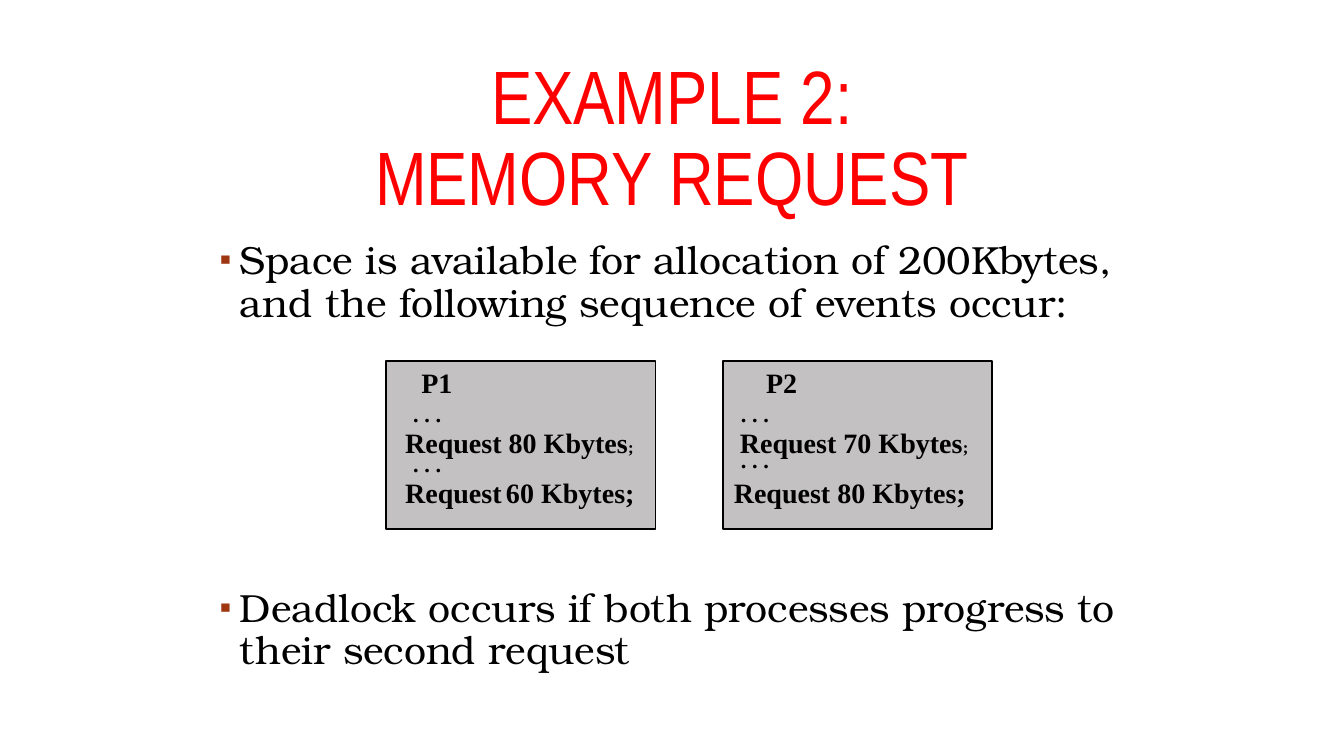
from dataclasses import dataclass

from lxml.etree import SubElement
from pptx import Presentation
from pptx.dml.color import RGBColor
from pptx.enum.shapes import MSO_SHAPE
from pptx.enum.text import MSO_ANCHOR, PP_ALIGN
from pptx.oxml.ns import qn
from pptx.slide import Slide
from pptx.text.text import TextFrame, _Paragraph
from pptx.util import Inches, Pt

TITLE_FONT = "Arial Narrow"
BODY_FONT = "TeX Gyre Bonum"
CODE_FONT = "Times New Roman"
BLACK = "000000"
RED = "FF0000"
GRAY = "C3C1C1"
BULLET_COLOR = "9E3611"


@dataclass(frozen=True)
class Span:
    text: str
    size: float


@dataclass(frozen=True)
class Line:
    left: float
    top: float
    width: float
    height: float
    spans: tuple[Span, ...]


@dataclass(frozen=True)
class Process:
    left: float
    lines: tuple[Line, ...]


@dataclass(frozen=True)
class Statement:
    top: float
    text: str


def label(left: float, name: str) -> Line:
    return Line(left, 3.58, 0.51, 0.44, (Span(name, 20),))


def dots(left: float, top: float) -> Line:
    return Line(left, top, 0.48, 0.37, (Span(". . .", 16),))


def request(left: float, top: float, *spans: Span) -> Line:
    return Line(left, top, 2.6, 0.44, spans)


PROCESSES = (
    Process(3.83, (
        label(4.08, "P1"),
        dots(4, 3.92),
        dots(4, 4.42),
        request(3.92, 4.17, Span("Request 80 Kbytes", 20), Span(";", 12)),
        request(3.92, 4.67, Span("Request", 20), Span(" ", 12), Span("60 Kbytes;", 20)),
    )),
    Process(7.17, (
        label(7.5, "P2"),
        dots(7.25, 3.92),
        dots(7.25, 4.38),
        request(7.24, 4.17, Span("Request 70 Kbytes", 20), Span(";", 12)),
        request(7.18, 4.67, Span("Request 80 Kbytes;", 20)),
    )),
)

STATEMENTS = (
    Statement(2.34, "Space is available for allocation of 200Kbytes, and the following sequence of events occur:"),
    Statement(5.79, "Deadlock occurs if both processes progress to their second request"),
)


def color(value: str) -> RGBColor:
    return RGBColor.from_string(value)


def add_text_frame(page: Slide, left: float, top: float, width: float, height: float, wrap: bool) -> TextFrame:
    box = page.shapes.add_textbox(Inches(left), Inches(top), Inches(width), Inches(height))
    box.text_frame.word_wrap = wrap
    return box.text_frame


def add_span(para: _Paragraph, span: Span, font: str, fill: str, bold: bool = False) -> None:
    run = para.add_run()
    run.text = span.text
    run.font.name = font
    run.font.size = Pt(span.size)
    run.font.bold = bold
    run.font.color.rgb = color(fill)


def add_title(page: Slide) -> None:
    frame = add_text_frame(page, 2, 0.67, 9.33, 1.45, True)
    frame.vertical_anchor = MSO_ANCHOR.MIDDLE
    para = frame.paragraphs[0]
    para.alignment = PP_ALIGN.CENTER
    para.line_spacing = 0.9
    add_span(para, Span("EXAMPLE 2:", 54), TITLE_FONT, RED)
    para.add_line_break()
    add_span(para, Span("MEMORY REQUEST", 54), TITLE_FONT, RED)


def add_bullet(para: _Paragraph) -> None:
    properties = para._p.get_or_add_pPr()
    properties.set("marL", str(Inches(0.2)))
    properties.set("indent", str(Inches(-0.2)))
    bullet_color = SubElement(properties, qn("a:buClr"))
    SubElement(bullet_color, qn("a:srgbClr"), val=BULLET_COLOR)
    SubElement(properties, qn("a:buSzPct"), val="85000")
    SubElement(properties, qn("a:buFont"), typeface=CODE_FONT)
    SubElement(properties, qn("a:buChar"), char="▪")


def add_statement(page: Slide, statement: Statement) -> None:
    frame = add_text_frame(page, 2.08, statement.top, 9.25, 1, True)
    para = frame.paragraphs[0]
    para.line_spacing = 0.9
    add_bullet(para)
    add_span(para, Span(statement.text, 28), BODY_FONT, BLACK)


def add_process(page: Slide, process: Process) -> None:
    box = page.shapes.add_shape(
        MSO_SHAPE.RECTANGLE, Inches(process.left), Inches(3.58), Inches(2.67), Inches(1.67)
    )
    box.shadow.inherit = False
    box.fill.solid()
    box.fill.fore_color.rgb = color(GRAY)
    box.line.color.rgb = color(BLACK)
    box.line.width = Pt(1)
    for line in process.lines:
        frame = add_text_frame(page, line.left, line.top, line.width, line.height, False)
        para = frame.paragraphs[0]
        para.alignment = PP_ALIGN.LEFT
        for span in line.spans:
            add_span(para, span, CODE_FONT, BLACK, True)


def main() -> None:
    deck = Presentation()
    deck.slide_width = Inches(13.33)
    deck.slide_height = Inches(7.5)
    page = deck.slides.add_slide(deck.slide_layouts[6])
    add_title(page)
    for statement in STATEMENTS:
        add_statement(page, statement)
    for process in PROCESSES:
        add_process(page, process)
    deck.save("out.pptx")


if __name__ == "__main__":
    main()
